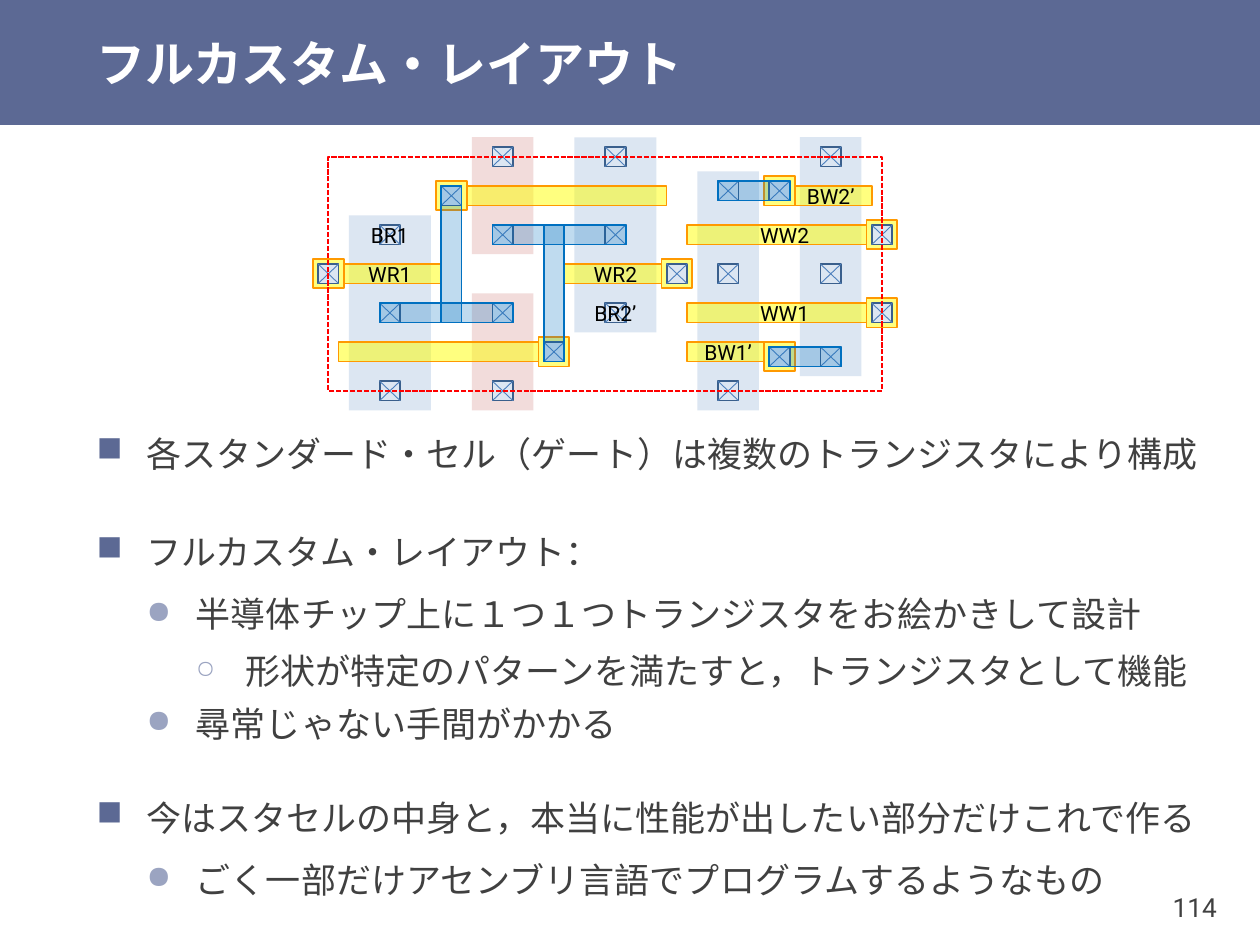
from dataclasses import dataclass
from typing import NamedTuple

from lxml.etree import SubElement
from pptx import Presentation
from pptx.dml.color import RGBColor as Rgb
from pptx.enum.dml import MSO_LINE as Dash
from pptx.enum.shapes import MSO_CONNECTOR as Conn, MSO_SHAPE as Kind
from pptx.enum.text import MSO_ANCHOR as Anchor, PP_ALIGN as Align
from pptx.oxml.ns import qn
from pptx.util import Cm, Pt


@dataclass(frozen=True)
class Theme:
    font: str = "Roboto"
    bar: str = "5C6994"
    dot: str = "9BA4C1"
    ink: str = "404040"
    white: str = "FFFFFF"
    black: str = "000000"
    frame: str = "FF0000"
    cross: tuple[str, str] = ("4F81BD", "4B7EBC")
    title: int = 28
    body: int = 20
    page: int = 15
    label: int = 12


class Paint(NamedTuple):
    fill: str | None
    line: str | None = None
    alpha: int = 100


class Box(NamedTuple):
    """Rectangle on the layout grid: centre and size in grid units."""
    x: float
    y: float
    w: float
    h: float
    paint: Paint


class Pad(NamedTuple):
    x: float
    y: float


class Label(NamedTuple):
    x: float
    y: float
    text: str


class Level(NamedTuple):
    mark: str
    color: str
    size: int
    before: int
    after: int


T = Theme()
P_WELL = Paint("F2DCDB")
N_WELL = Paint("DCE6F2")
GATE = Paint("FFFF00", "FF9900", 50)
METAL = Paint("0070C0", "0070C0", 25)
PAD = Paint("DCE6F2", "3A5F8C")
FRAME = Paint(None, T.frame)

# The cell frame spans 54 x 24 grid units
COLS, ROWS = 54, 24
LEFT, TOP = 6.62, 3.16
DX, DY = 11.16 / COLS, 4.72 / ROWS


def bar(left: float, right: float, y: float, paint: Paint = GATE) -> Box:
    return Box((left + right) / 2, y, right - left, 2, paint)


def cap(x: float, y: float) -> Box:
    return Box(x, y, 3, 3, GATE)


# Cell parts, from back to front
CELL = [
    # Left half: storage loop and read ports
    Box(17, 4, 6, 12, P_WELL), Box(28, 8, 8, 20, N_WELL),
    bar(13.5, 33, 4), bar(23, 32.5, 12),
    Box(6, 16, 8, 20, N_WELL), Box(17, 20, 6, 12, P_WELL),
    bar(1, 20.5, 20), bar(1.5, 11, 12),
    *(Pad(6, y) for y in (8, 16, 24)),
    *(Pad(17, y) for y in (0, 8, 16, 24)),
    *(Pad(28, y) for y in (0, 8, 16)),
    Label(6, 12, "WR1"), Label(6, 8, "BR1"),
    Label(28, 12, "WR2"), Label(28, 16, "BR2’"),
    bar(16, 29, 8, METAL), bar(5, 18, 16, METAL),
    cap(22, 20), Pad(22, 20), cap(12, 4), Pad(12, 4),
    Box(22, 14, 2, 14, METAL), Box(12, 10, 2, 14, METAL),
    cap(0, 12), cap(34, 12), Pad(0, 12), Pad(34, 12),
    # Right half: write ports
    Box(39, 13.75, 6, 24.5, N_WELL), Box(49, 10.25, 6, 24.5, N_WELL),
    bar(35, 52.5, 8), bar(35, 52.5, 16),
    *(Pad(39, y) for y in (24, 12, 3.5)),
    *(Pad(49, y) for y in (20.5, 12, 0)),
    bar(45.5, 53, 4), bar(35, 42.5, 20),
    Label(44.5, 16, "WW1"), Label(39, 20, "BW1’"),
    Label(44.5, 8, "WW2"), Label(49, 4, "BW2’"),
    cap(54, 16), cap(54, 8), Pad(54, 8), Pad(54, 16),
    cap(44, 3.5), cap(44, 20.5), Pad(44, 20.5), Pad(44, 3.5),
    bar(43, 50, 20.5, METAL), bar(38, 45, 3.5, METAL),
    Box(COLS / 2, ROWS / 2, COLS, ROWS, FRAME),
]

LEVELS = [
    Level("■", T.bar, 100, 24, 6),
    Level("●", T.dot, 90, 3, 3),
    Level("○", T.dot, 70, 3, 1),
]
LINES = [
    (0, "各スタンダード・セル（ゲート）は複数のトランジスタにより構成"),
    (0, "フルカスタム・レイアウト："),
    (1, "半導体チップ上に１つ１つトランジスタをお絵かきして設計"),
    (2, "形状が特定のパターンを満たすと，トランジスタとして機能"),
    (1, "尋常じゃない手間がかかる"),
    (0, "今はスタセルの中身と，本当に性能が出したい部分だけこれで作る"),
    (1, "ごく一部だけアセンブリ言語でプログラムするようなもの"),
]


def add_rect(shapes, x: float, y: float, w: float, h: float, paint: Paint):
    rect = shapes.add_shape(Kind.RECTANGLE, Cm(x), Cm(y), Cm(w), Cm(h))
    rect.shadow.inherit = False
    if paint.fill:
        rect.fill.solid()
        rect.fill.fore_color.rgb = Rgb.from_string(paint.fill)
        if paint.alpha < 100:
            color = rect.fill._xPr.find(".//" + qn("a:srgbClr"))
            SubElement(color, qn("a:alpha"), val=str(paint.alpha * 1000))
    else:
        rect.fill.background()
    if paint.line:
        rect.line.color.rgb = Rgb.from_string(paint.line)
        rect.line.width = Pt(1)
    else:
        rect.line.fill.background()
    return rect


def add_text(shapes, x: float, y: float, w: float, h: float, text: str, size: int,
             color: str, align=Align.LEFT, bold: bool = False,
             wrap: bool = True, inset: tuple[float, float] = (0.25, 0)):
    frame = shapes.add_textbox(Cm(x), Cm(y), Cm(w), Cm(h)).text_frame
    frame.word_wrap = wrap
    frame.vertical_anchor = Anchor.MIDDLE
    frame.margin_left = frame.margin_right = Cm(inset[0])
    frame.margin_top = frame.margin_bottom = Cm(inset[1])
    frame.text = text
    for para in frame.paragraphs:
        para.alignment = align
        font = para.runs[0].font
        font.name, font.size, font.bold = T.font, Pt(size), bold
        font.color.rgb = Rgb.from_string(color)
    return frame


def add_box(shapes, box: Box):
    w, h = box.w * DX, box.h * DY
    x, y = LEFT + box.x * DX - w / 2, TOP + box.y * DY - h / 2
    return add_rect(shapes, x, y, w, h, box.paint)


def add_pad(shapes, pad: Pad) -> None:
    rect = add_box(shapes, Box(pad.x, pad.y, 2, 2, PAD))
    left, top = rect.left, rect.top
    right, base = left + rect.width, top + rect.height
    for color, start, end in zip(T.cross, (left, right), (right, left)):
        line = shapes.add_connector(Conn.STRAIGHT, start, top, end, base)
        line.line.color.rgb = Rgb.from_string(color)
        line.line.width = Pt(0.5)
        SubElement(line._element.spPr, qn("a:effectLst"))


def add_cell(shapes) -> None:
    for part in CELL:
        if isinstance(part, Pad):
            add_pad(shapes, part)
        elif isinstance(part, Label):
            x, y = LEFT + part.x * DX, TOP + part.y * DY
            add_text(shapes, x - 0.6, y - 0.2, 1.2, 0.4, part.text, T.label,
                     T.black, Align.CENTER, wrap=False, inset=(0, 0))
        else:
            rect = add_box(shapes, part)
            if part.paint is FRAME:
                rect.line.dash_style = Dash.SQUARE_DOT


def add_list(shapes) -> None:
    text = "\n".join(line for _, line in LINES)
    frame = add_text(shapes, 1.7, 8.76, 23.01, 9.25, text, T.body, T.ink, inset=(0.25, 0.13))
    for i, (para, (depth, _)) in enumerate(zip(frame.paragraphs, LINES)):
        level = LEVELS[depth]
        para.level = depth
        para.line_spacing = 1.1
        para.space_before = Pt(level.before if i else 0)
        para.space_after = Pt(level.after)
        props = para._p.get_or_add_pPr()
        props.set("marL", str(Cm(depth + 1)))
        props.set("indent", str(Cm(-1)))
        SubElement(SubElement(props, qn("a:buClr")), qn("a:srgbClr"), val=level.color)
        SubElement(props, qn("a:buSzPct"), val=str(level.size * 1000))
        SubElement(props, qn("a:buChar"), char=level.mark)


def main() -> None:
    deck = Presentation()
    deck.slide_width, deck.slide_height = Cm(25.4), Cm(19.05)
    shapes = deck.slides.add_slide(deck.slide_layouts[6]).shapes

    # Header and page number
    add_rect(shapes, 0, 0, 25.4, 2.52, Paint(T.bar))
    add_text(shapes, 22.71, 17.53, 2, 1.52, "114", T.page, T.ink, Align.RIGHT, inset=(0.18, 0.1))
    add_text(shapes, 1.7, 0, 23.7, 2.52, "フルカスタム・レイアウト", T.title, T.white, bold=True)

    # Bullets and transistor cell
    add_list(shapes)
    add_cell(shapes.add_group_shape().shapes)
    deck.save("out.pptx")


if __name__ == "__main__":
    main()
